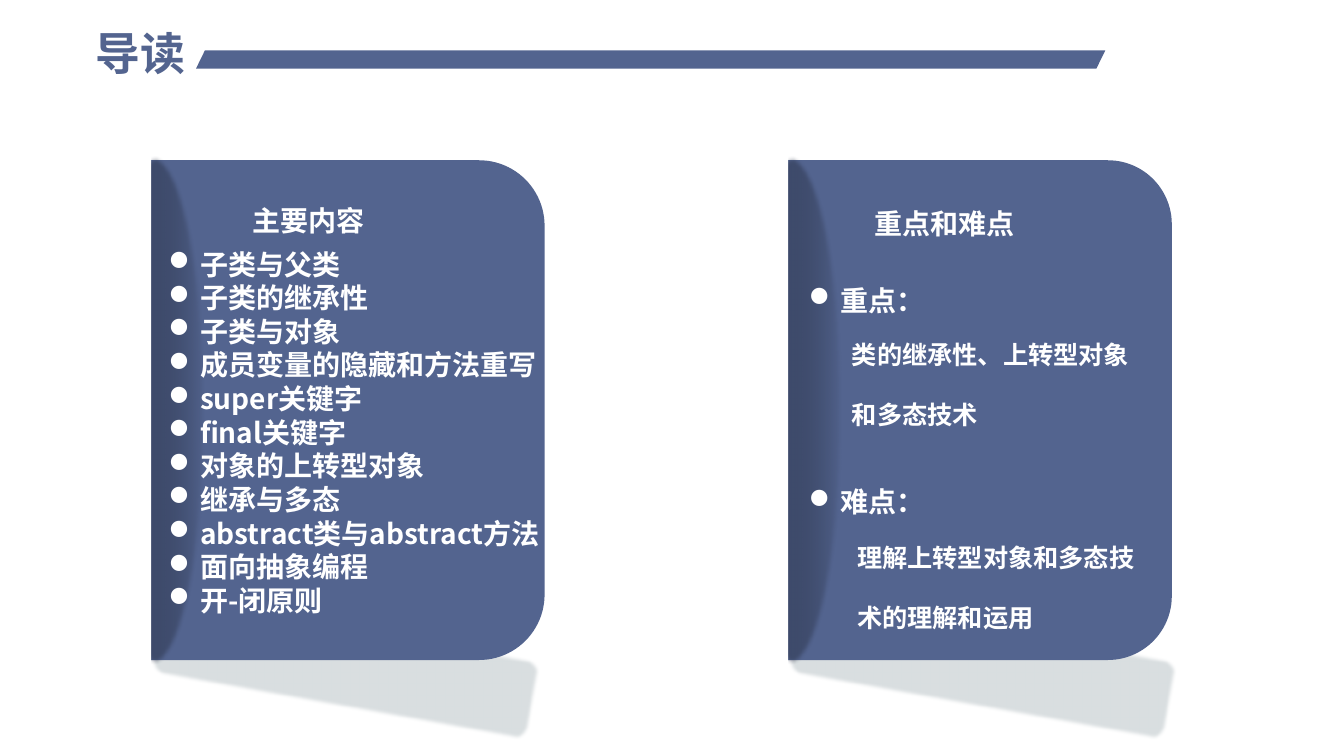
from lxml.etree import SubElement
from pptx import Presentation
from pptx.dml.color import RGBColor
from pptx.enum.shapes import MSO_SHAPE
from pptx.enum.text import MSO_ANCHOR, MSO_AUTO_SIZE
from pptx.oxml.ns import qn
from pptx.util import Pt

COLORS = {"blue": "53648F", "white": "FFFFFF", "gray": "A1ACB2", "black": "000000"}
FONT = "Noto Sans CJK SC"
TOPICS = ["子类与父类", "子类的继承性", "子类与对象", "成员变量的隐藏和方法重写",
          "super关键字", "final关键字", "对象的上转型对象", "继承与多态",
          "abstract类与abstract方法", "面向抽象编程", "开-闭原则"]


def rgb(name):
    return RGBColor.from_string(COLORS[name])


def add_alpha(color_parent, percent):
    SubElement(color_parent.find(".//" + qn("a:srgbClr")), qn("a:alpha"),
               val=str(percent * 1000))


def soften(sp, radius):
    effects = sp.element.spPr.find(qn("a:effectLst"))
    SubElement(effects, qn("a:softEdge"), rad=str(Pt(radius)))


def add_block(s, kind, x, y, w, h, color):
    sp = s.shapes.add_shape(kind, Pt(x), Pt(y), Pt(w), Pt(h))
    sp.shadow.inherit = False
    sp.fill.solid()
    sp.fill.fore_color.rgb = rgb(color)
    sp.line.fill.background()
    return sp


def put_text(sp, x, y, w, h, text, size, color="white", pitch=None):
    """Place a text shape without margins and set its lines at a fixed pitch."""
    sp.left, sp.top, sp.width, sp.height = Pt(x), Pt(y), Pt(w), Pt(h)
    tf = sp.text_frame
    tf.text = text
    tf.word_wrap = True
    tf.auto_size = MSO_AUTO_SIZE.NONE
    tf.vertical_anchor = MSO_ANCHOR.TOP
    tf.margin_left = tf.margin_right = tf.margin_top = tf.margin_bottom = 0
    for p in tf.paragraphs:
        p.line_spacing = Pt(pitch or size * 1.2)
        p.space_before = p.space_after = Pt(0)
        for r in p.runs:
            r.font.size, r.font.bold, r.font.name = Pt(size), True, FONT
            r.font.color.rgb = rgb(color)
            SubElement(r.font._element, qn("a:ea"), typeface=FONT)
    return tf


def add_text(s, *args, **options):
    return put_text(s.shapes.add_textbox(0, 0, 0, 0), *args, **options)


def put_list(sp, x, y, w, h, items, gap=0):
    """Fill a body placeholder with round bullets, gap points apart."""
    sp.element.getparent().append(sp.element)  # bring in front of the card
    tf = put_text(sp, x, y, w, h, "\n".join(items), 20)
    for i, p in enumerate(tf.paragraphs):
        p.space_before = Pt(gap if i else 0)
        pPr = p._p.get_or_add_pPr()
        pPr.set("marL", str(Pt(22.5)))
        pPr.set("indent", str(-Pt(22.5)))
        SubElement(pPr, qn("a:buFont"), typeface="Wingdings")
        SubElement(pPr, qn("a:buChar"), char="l")


def add_header(s, x, y, w):
    """Title followed by a slanted bar."""
    title = s.shapes.title
    put_text(title, x, y, 70, 40, "导读", 32, "blue")
    title.text_frame.paragraphs[0].alignment = 1
    bar = add_block(s, MSO_SHAPE.PARALLELOGRAM, x + 71.5, y + 17.5, w - 71.5, 13, "blue")
    bar.adjustments[0] = 0.49


def add_card(s, x, y, w, h):
    """Card rounded on the right, with a folded left edge and a cast shadow."""
    cast = add_block(s, MSO_SHAPE.ROUNDED_RECTANGLE, x + 2, y + h - 24.5, 274, 59, "gray")
    cast.rotation = 10.1
    cast.adjustments[0] = 0.158
    add_alpha(cast.element.spPr, 40)
    soften(cast, 2.5)

    panel = add_block(s, MSO_SHAPE.ROUND_2_SAME_RECTANGLE,
                      x + (w - h) / 2, y + (h - w) / 2, h, w, "blue")
    panel.rotation = 90

    fold = add_block(s, MSO_SHAPE.OVAL, x - 34, y - 3.5, 73.5, h + 7, "blue")
    fold.fill.gradient()
    fold.fill.gradient_angle = 180
    for stop, color, position in zip(fold.fill.gradient_stops, ("black", "blue"), (0, 1)):
        stop.color.rgb = rgb(color)
        stop.position = position
    add_alpha(fold.element.spPr, 0)
    soften(fold, 3)

    # Hides the outer half of the fold
    add_block(s, MSO_SHAPE.RECTANGLE, x - 65, y - 18.5, 65, h + 34, "white")


def add_contents(s, body, x, y, w, h):
    """Card with the list of topics."""
    add_card(s, x, y, w, h)
    add_text(s, x + 72.5, y + 30.5, 100, 26, "主要内容", 20)
    put_list(body, x + 12.4, y + 62, w - 12, h - 66, TOPICS)


def add_key_points(s, body, x, y, w, h):
    """Card with the key and the difficult points."""
    add_card(s, x, y, w, h)
    add_text(s, x + 61.5, y + 32.7, 120, 26, "重点和难点", 20)
    put_list(body, x + 14.8, y + 87.7, w - 30, 170, ["重点：", "难点："], gap=120)
    for dx, dy, text in ((45.6, 106.8, "类的继承性、上转型对象和多态技术"),
                         (49.3, 251.8, "理解上转型对象和多态技术的理解和运用")):
        add_text(s, x + dx, y + dy, 208, 86, text, 18, pitch=42.9)


def main():
    prs = Presentation()
    prs.slide_width, prs.slide_height = Pt(960), Pt(540)
    s = prs.slides.add_slide(prs.slide_layouts[3])
    _, left_body, right_body = s.placeholders
    add_header(s, 68.5, 18.5, 721)
    add_contents(s, left_body, 108, 114.5, 281, 357)
    add_key_points(s, right_body, 563, 114.5, 274, 357)
    prs.save("out.pptx")


if __name__ == "__main__":
    main()
